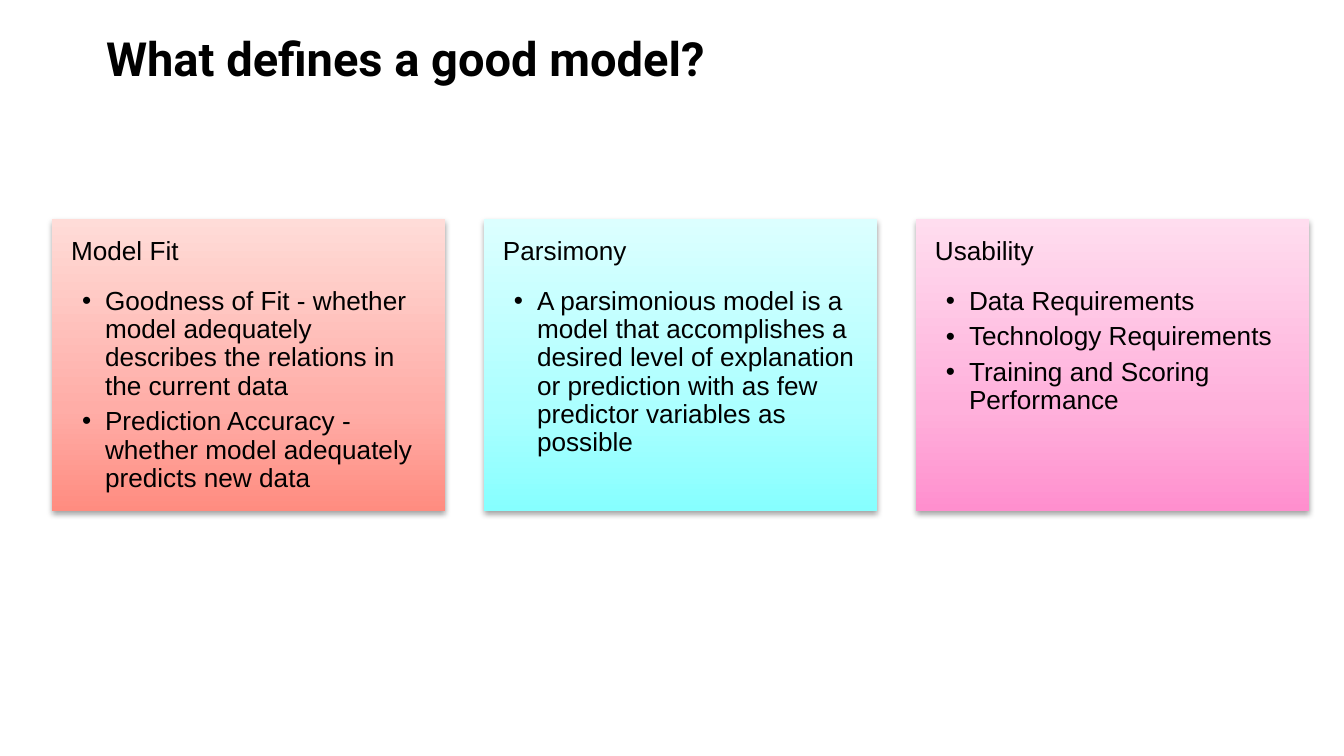
from copy import deepcopy
from dataclasses import dataclass

from lxml import etree
from pptx import Presentation
from pptx.dml.color import RGBColor
from pptx.enum.shapes import MSO_SHAPE
from pptx.enum.text import MSO_ANCHOR, PP_ALIGN
from pptx.oxml.ns import qn
from pptx.util import Emu, Pt

RECT = MSO_SHAPE.RECTANGLE
TOP, MIDDLE = MSO_ANCHOR.TOP, MSO_ANCHOR.MIDDLE
LEFT = PP_ALIGN.LEFT
SCALE = 914400 / 134.4


@dataclass(frozen=True)
class Theme:
    ink: str = "000000"
    head_font: str = "Roboto"
    body_font: str = "Arial"
    head_size: float = 25.2
    body_size: float = 14
    leading: float = 0.9
    first_gap: float = 11.6
    next_gap: float = 3.9
    coral: tuple[str, ...] = ("FF8C80", "FFADA7", "FFDCD8")
    aqua: tuple[str, ...] = ("86FFFF", "ACFFFF", "DCFFFF")
    pink: tuple[str, ...] = ("FF8FCE", "FFB0DB", "FFDDEF")


@dataclass(frozen=True)
class Box:
    left: int
    top: int
    width: int
    height: int


@dataclass(frozen=True)
class Card:
    title: str
    points: tuple[str, ...]
    shades: tuple[str, ...]


THEME = Theme()
STOPS = (0, 0.35, 1)
FIRST = Box(52, 219, 393, 292)
STEP = 432
CARDS = (
    Card("Model Fit", (
        "Goodness of Fit - whether model adequately describes the relations in the current data",
        "Prediction Accuracy - whether model adequately predicts new data",
    ), THEME.coral),
    Card("Parsimony", (
        "A parsimonious model is a model that accomplishes a desired level of explanation "
        "or prediction with as few predictor variables as possible",
    ), THEME.aqua),
    Card("Usability", (
        "Data Requirements",
        "Technology Requirements",
        "Training and Scoring Performance",
    ), THEME.pink),
)


def px(num: int) -> Emu:
    return Emu(round(num * SCALE))


def place(box: Box) -> tuple[Emu, ...]:
    return px(box.left), px(box.top), px(box.width), px(box.height)


def add_frame(slide, box: Box, inset: int, anchor):
    frame = slide.shapes.add_textbox(*place(box)).text_frame
    frame.word_wrap = True
    frame.vertical_anchor = anchor
    frame.margin_left = frame.margin_right = px(inset)
    frame.margin_top = frame.margin_bottom = px(inset)
    return frame


def add_run(para, text: str, font: str, size: float, bold: bool = False) -> None:
    para.alignment = LEFT
    run = para.add_run()
    run.text = text
    run.font.name = font
    run.font.size = Pt(size)
    run.font.bold = bold
    run.font.color.rgb = RGBColor.from_string(THEME.ink)


def add_bullet(para) -> None:
    props = para._p.get_or_add_pPr()
    props.set("marL", str(px(34)))
    props.set("indent", str(-px(23)))
    tint = etree.SubElement(props, qn("a:buClr"))
    etree.SubElement(tint, qn("a:srgbClr"), val=THEME.ink)
    etree.SubElement(props, qn("a:buFont"), typeface=THEME.body_font)
    etree.SubElement(props, qn("a:buChar"), char="•")


def add_shade(shape) -> None:
    effects = etree.SubElement(shape._element.spPr, qn("a:effectLst"))
    outer = etree.SubElement(
        effects, qn("a:outerShdw"), blurRad=str(Pt(3.1)), dist=str(Pt(1.6)),
        dir="5400000", algn="ctr", rotWithShape="0")
    tint = etree.SubElement(outer, qn("a:srgbClr"), val=THEME.ink)
    etree.SubElement(tint, qn("a:alpha"), val="37000")


def add_panel(slide, box: Box, shades: tuple[str, ...]) -> None:
    panel = slide.shapes.add_shape(RECT, *place(box))
    panel.line.fill.background()
    panel.fill.gradient()
    panel.fill.gradient_angle = 90
    # The default gradient has two stops; the panel needs a third
    stops = panel._element.spPr.find(".//" + qn("a:gsLst"))
    stops.append(deepcopy(stops[0]))
    for stop, spot, shade in zip(panel.fill.gradient_stops, STOPS, shades):
        stop.position = spot
        stop.color.rgb = RGBColor.from_string(shade)
    add_shade(panel)


def add_card(slide, box: Box, card: Card) -> None:
    add_panel(slide, box, card.shades)
    frame = add_frame(slide, box, 19, TOP)
    para = frame.paragraphs[0]
    para.line_spacing = THEME.leading
    add_run(para, card.title, THEME.body_font, THEME.body_size)
    for num, point in enumerate(card.points):
        para = frame.add_paragraph()
        para.level = 1
        add_bullet(para)
        para.line_spacing = THEME.leading
        para.space_before = Pt(THEME.next_gap if num else THEME.first_gap)
        add_run(para, point, THEME.body_font, THEME.body_size)


def main() -> None:
    deck = Presentation()
    deck.slide_width, deck.slide_height = px(1344), px(756)
    slide = deck.slides.add_slide(deck.slide_layouts[6])

    # Heading
    head = add_frame(slide, Box(93, 15, 1216, 85), 13, MIDDLE)
    add_run(head.paragraphs[0], "What defines a good model?",
            THEME.head_font, THEME.head_size, bold=True)

    # Row of cards
    for num, card in enumerate(CARDS):
        box = Box(FIRST.left + num * STEP, FIRST.top, FIRST.width, FIRST.height)
        add_card(slide, box, card)

    deck.save("out.pptx")


if __name__ == "__main__":
    main()
